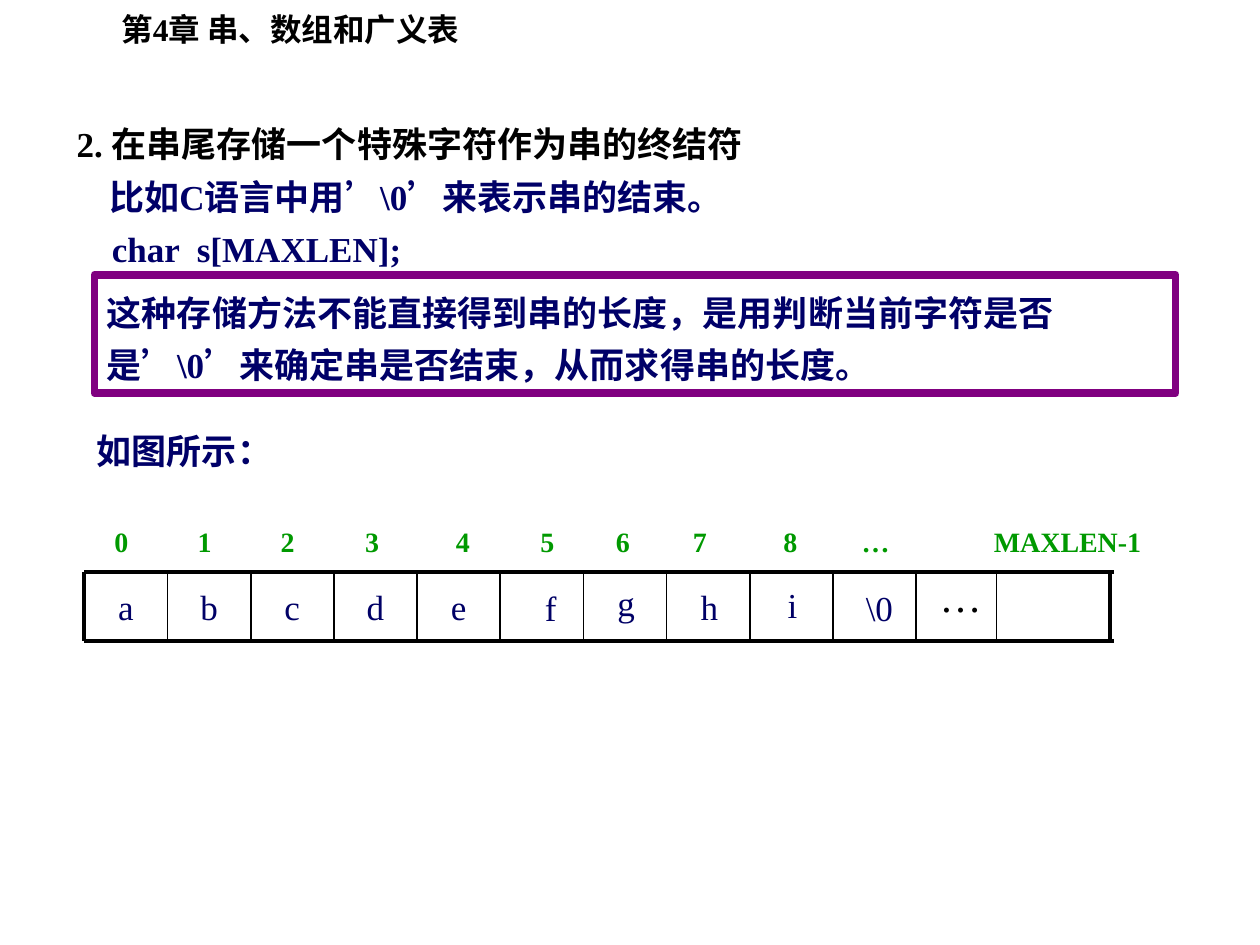
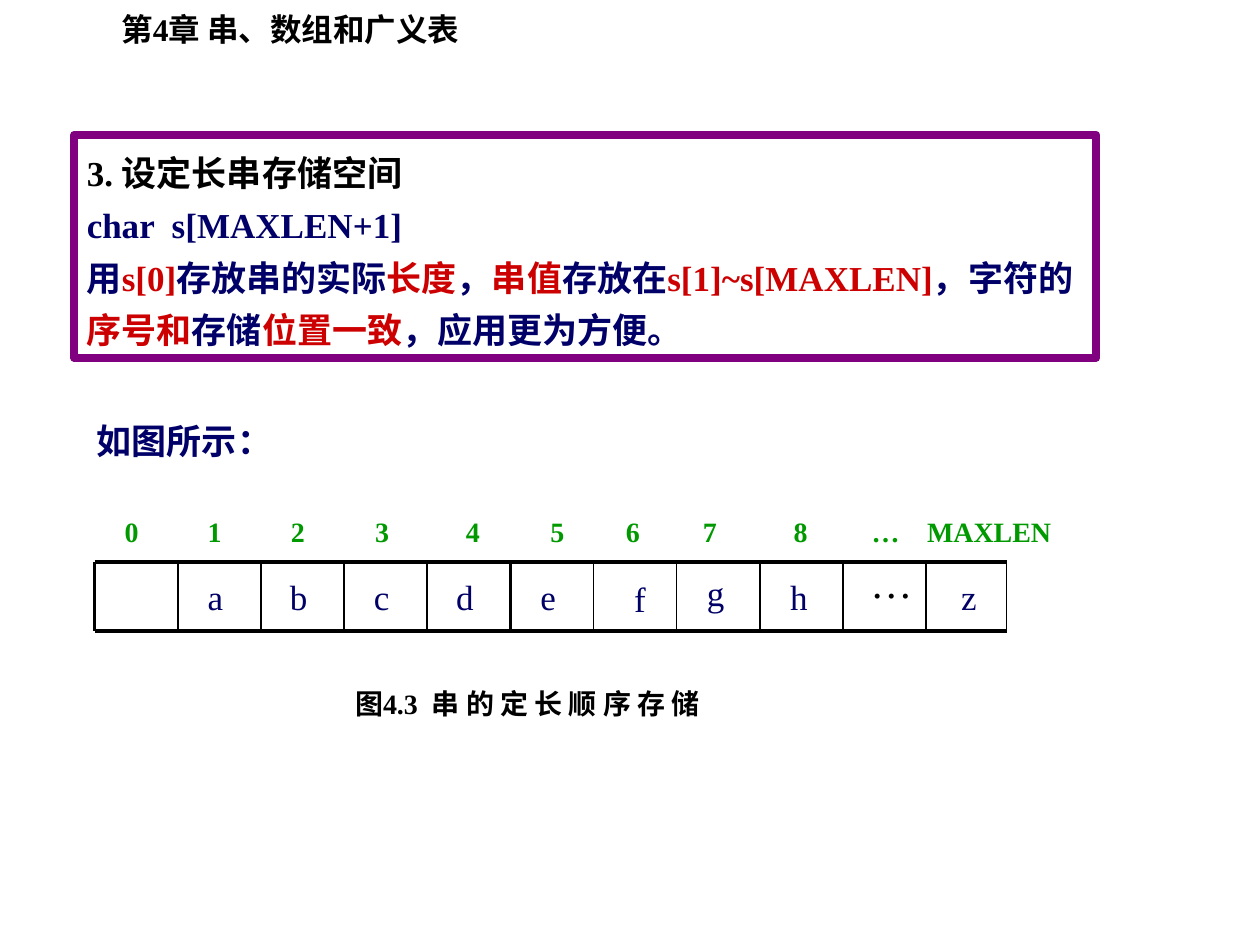
from itertools import pairwise

from lxml import etree
from pptx import Presentation
from pptx.dml.color import RGBColor
from pptx.enum import shapes, text
from pptx.oxml import ns
from pptx.util import Inches, Pt

BLACK = RGBColor(0x00, 0x00, 0x00)
NAVY = RGBColor(0x00, 0x00, 0x68)
CELL_BLUE = RGBColor(0x00, 0x00, 0x66)
RED = RGBColor(0xCC, 0x00, 0x00)
GREEN = RGBColor(0x00, 0x99, 0x00)
PURPLE = RGBColor(0x80, 0x00, 0x80)
FONT = "Times New Roman"
CELL_WIDTH, CELL_HEIGHT = 0.66, 0.55
INDEX_STOPS = [0.14, 0.8, 1.46, 2.13, 2.85, 3.52, 4.12, 4.73, 5.45, 6.07]
INDEXES = ["0", "1", "2", "3", "4", "5", "6", "7", "8", "…"]


def write(page, at, lines, size=20, color=BLACK, bold=True, align=text.PP_ALIGN.LEFT,
          anchor=text.MSO_ANCHOR.TOP, wrap=True, spacing=None, before=None,
          indents=(), stops=(), framed=False):
    place = [Inches(length) for length in at]
    if framed:
        box = page.shapes.add_shape(shapes.MSO_SHAPE.RECTANGLE, *place)
        box.shadow.inherit = False
        box.fill.background()
        box.line.color.rgb = PURPLE
        box.line.width = Pt(4.5)
    else:
        box = page.shapes.add_textbox(*place)
    frame = box.text_frame
    frame.word_wrap = wrap
    frame.vertical_anchor = anchor
    for number, line in enumerate(lines):
        para = frame.paragraphs[0] if number == 0 else frame.add_paragraph()
        para.alignment = align
        para.line_spacing = spacing
        para.space_before = before
        properties = para._p.get_or_add_pPr()
        if number < len(indents):
            properties.set("marL", str(Inches(indents[number])))
        if stops:
            tabs = etree.SubElement(properties, ns.qn("a:tabLst"))
            for stop in stops:
                etree.SubElement(tabs, ns.qn("a:tab"), pos=str(Inches(stop)), algn="l")
        for words, *look in ([(line,)] if isinstance(line, str) else line):
            span = para.add_run()
            span.text = words
            span.font.name = FONT
            span.font.bold = bold
            span.font.color.rgb = look[0] if look else color
            span.font.size = Pt(look[1] if len(look) > 1 else size)


def rule(page, x1, y1, x2, y2, width):
    line = page.shapes.add_connector(
        shapes.MSO_CONNECTOR.STRAIGHT, Inches(x1), Inches(y1), Inches(x2), Inches(y2))
    line.line.color.rgb = BLACK
    line.line.width = Pt(width)
    etree.SubElement(line._element.spPr, ns.qn("a:effectLst"))


deck = Presentation()
deck.slide_width, deck.slide_height = Inches(10), Inches(7.5)
pages = [deck.slides.add_slide(deck.slide_layouts[6]) for _ in range(2)]
terminator_page, fixed_page = pages

for page in pages:
    write(page, (0.06, 0.03, 4.49, 0.4), ["第4章 串、数组和广义表"],
          size=18, align=text.PP_ALIGN.CENTER)

write(terminator_page, (0.51, 0.84, 5.9, 1.35), [
    "2. 在串尾存储一个特殊字符作为串的终结符",
    [("比如C语言中用’\\0’来表示串的结束。", NAVY)],
    [("char  s[MAXLEN];", NAVY)],
], spacing=1.25, indents=(0, 0.26, 0.28))
write(terminator_page, (0.75, 2.18, 8.58, 0.94), [
    "这种存储方法不能直接得到串的长度，是用判断当前字符是否是’\\0’来确定串是否结束，从而求得串的长度。",
], color=NAVY, spacing=1.25, framed=True)

write(fixed_page, (0.59, 1.07, 8.11, 1.77), [
    [("3. 设定长串存储空间", BLACK)],
    "char  s[MAXLEN+1]",
    [("用",), ("s[0]", RED), ("存放串的实际",), ("长度", RED), ("，",),
     ("串值", RED), ("存放在",), ("s[1]~s[MAXLEN]", RED), ("，字符的",),
     ("序号和", RED), ("存储",), ("位置一致", RED), ("，应用更为方便。",)],
], color=NAVY, spacing=1.25, framed=True)

arrays = [
    dict(page=terminator_page, left=0.67, top=4.54, end=8.84,
         extra_rules=[(7.91, 0.75), (8.81, 2.25)], dots=(7.36, 4.65, 0.39, 0.3),
         last_index="MAXLEN-1", last_stop=7.12, index_width=8.66,
         first_column=0, early_shift=0,
         late=[("f", 5, 0.07, 0.04), ("g", 6, 0.01, 0), ("h", 7, 0.01, 0.03),
               ("i", 8, 0.01, 0.01), ("\\0", 9, 0.04, 0.04)]),
    dict(page=fixed_page, left=0.75, top=4.46, end=7.99,
         extra_rules=[(7.99, 0.75)], dots=(6.81, 4.54, 0.55, 0.3),
         last_index="MAXLEN", last_stop=6.51, index_width=7.87,
         first_column=1, early_shift=-0.03,
         late=[("f", 6, 0.04, 0.05), ("g", 7, -0.02, 0), ("h", 8, -0.02, 0.03),
               ("z", 10, 0.01, 0.03)]),
]
for array in arrays:
    page, left, top = array["page"], array["left"], array["top"]
    bottom = top + CELL_HEIGHT
    write(page, (0.67, top - 1.18, 1.59, 0.44), ["如图所示："], color=NAVY, wrap=False)

    early = [(letter, array["first_column"] + i, array["early_shift"], 0)
             for i, letter in enumerate("abcde")]
    for letters, spacing, before in [(early, None, Pt(5)), (array["late"], 0.8, None)]:
        for letter, column, dx, dy in letters:
            write(page, (left + column * CELL_WIDTH + dx, top + dy, CELL_WIDTH, CELL_HEIGHT),
                  [letter], color=CELL_BLUE, bold=False, align=text.PP_ALIGN.CENTER,
                  anchor=text.MSO_ANCHOR.MIDDLE, spacing=spacing, before=before)
    write(page, array["dots"], ["…"], size=24, bold=False, spacing=0.5)

    corners = [left, left + 5 * CELL_WIDTH, left + 10 * CELL_WIDTH, array["end"]]
    for start, stop in pairwise(corners):
        for y in (top, bottom):
            rule(page, start, y, stop, y, 2.25)
    weights = {0: 2.25, 5: 1.5, 10: 1.5}
    dividers = [(left + i * CELL_WIDTH, weights.get(i, 1)) for i in range(11)]
    for x, width in dividers + array["extra_rules"]:
        rule(page, x, top, x, bottom, width)

    labels = "\t".join(INDEXES + [array["last_index"]])
    write(page, (left, top - 0.48, array["index_width"], 0.44),
          [[("\t", GREEN, 20), (labels, GREEN, 16)]],
          before=Pt(10), stops=INDEX_STOPS + [array["last_stop"]])

write(fixed_page, (2.72, 5.4, 3.23, 0.37), ["图4.3  串 的 定 长 顺 序 存 储"],
      size=16, before=Pt(10))

deck.save("out.pptx")
